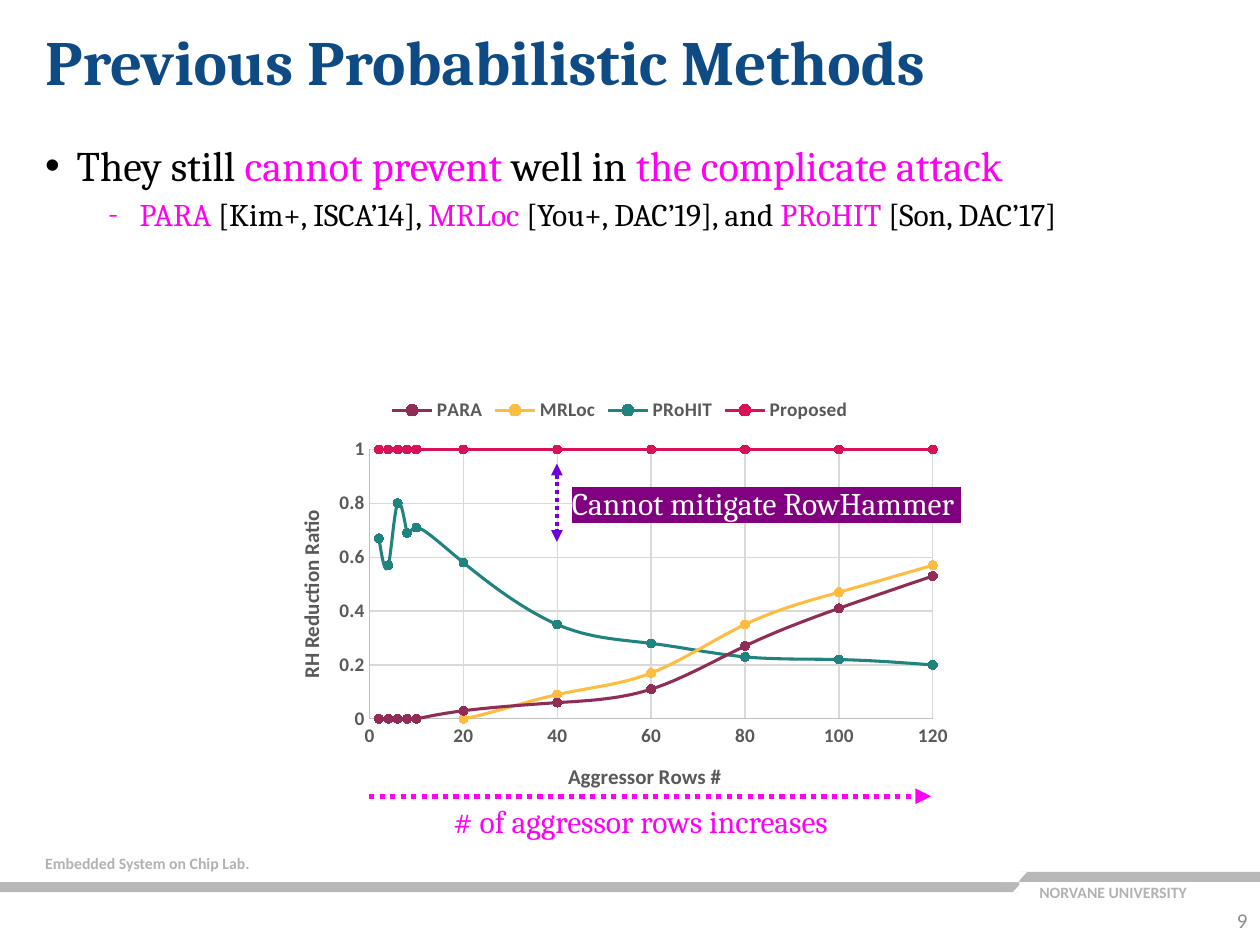
from lxml import etree
from pptx import Presentation
from pptx.chart.data import XyChartData
from pptx.dml.color import RGBColor
from pptx.enum.chart import XL_CHART_TYPE, XL_LEGEND_POSITION, XL_MARKER_STYLE, XL_TICK_MARK
from pptx.enum.dml import MSO_LINE
from pptx.enum.shapes import MSO_CONNECTOR, MSO_SHAPE
from pptx.enum.text import MSO_ANCHOR, PP_ALIGN
from pptx.oxml import parse_xml
from pptx.oxml.ns import nsdecls, qn
from pptx.util import Inches, Pt

RECT, SLANT = MSO_SHAPE.RECTANGLE, MSO_SHAPE.PARALLELOGRAM
BLACK, MAGENTA, GREY, WHITE = "000000", "FF00F5", "B8B8B8", "FFFFFF"
FOOTER, AXIS_TEXT = "B2B2B2", "595959"


def rgb(value):
    return RGBColor.from_string(value)


def add_text(place, paragraphs, size=18, font="Cambria", bold=False, align=None,
             anchor=MSO_ANCHOR.TOP, line_spacing=None, highlight=None):
    """Each paragraph is a list of (text, colour) spans; returns the text frame."""
    frame = page.shapes.add_textbox(*map(Inches, place)).text_frame
    frame.word_wrap = True
    frame.vertical_anchor = anchor
    for index, spans in enumerate(paragraphs):
        para = frame.paragraphs[0] if index == 0 else frame.add_paragraph()
        para.alignment = align
        para.line_spacing = line_spacing
        for text, colour in spans:
            span = para.add_run()
            span.text = text
            span.font.size, span.font.bold = Pt(size), bold
            span.font.color.rgb = rgb(colour)
            if highlight:
                mark = parse_xml(f'<a:highlight {nsdecls("a")}><a:srgbClr val="{highlight}"/></a:highlight>')
                span.font.fill._xPr.find(qn("a:solidFill")).addnext(mark)
            span.font.name = font
    return frame


deck = Presentation()
deck.slide_width, deck.slide_height = Inches(10), Inches(7.5)
page = deck.slides.add_slide(deck.slide_layouts[6])

# Footer band and labels
add_text((8.15, 6.96, 1.6, 0.25), [[("NORVANE UNIVERSITY", FOOTER)]], size=9, font="Calibri", bold=True)
for kind, left, top, width, colour in [
    (RECT, 0, 7, 8.09, GREY),
    (RECT, 8.09, 6.92, 1.91, GREY),
    (SLANT, 8.04, 7, 0.21, WHITE),
    (SLANT, 7.94, 6.92, 0.21, WHITE),
]:
    band = page.shapes.add_shape(kind, Inches(left), Inches(top), Inches(width), Inches(0.08))
    band.shadow.inherit = False
    band.fill.solid()
    band.fill.fore_color.rgb = rgb(colour)
    band.line.fill.background()
    if kind == SLANT:
        band.adjustments[0] = 0.9
add_text((0.26, 6.73, 1.91, 0.25), [[("Embedded System on Chip Lab.", FOOTER)]],
         size=9, font="Calibri", bold=True)

# Title and bullets
add_text((0.26, 0.2, 9.42, 0.71), [[("Previous Probabilistic Methods", "0E4A84")]],
         size=36, bold=True, line_spacing=0.9)
bullets = add_text((0.26, 1.1, 9.42, 1.69), [
    [("They still ", BLACK), ("cannot prevent ", MAGENTA), ("well in ", BLACK),
     ("the complicate attack", MAGENTA)],
    [("PARA ", MAGENTA), ("[Kim+, ISCA’14], ", BLACK), ("MRLoc ", MAGENTA),
     ("[You+, DAC’19], and ", BLACK), ("PRoHIT ", MAGENTA), ("[Son, DAC’17]", BLACK)],
], line_spacing=0.9)
for para, level, sign, face, size, indent, before in zip(
        bullets.paragraphs, (0, 1), "•-", ("Arial", "Cambria"), (24, 18), (0.25, 0.75), (10, 5)):
    para.level = level
    para.space_before = Pt(before)
    for span in para.runs:
        span.font.size = Pt(size)
    properties = para._p.get_or_add_pPr()
    properties.set("marL", str(Inches(indent)))
    properties.set("indent", str(Inches(-0.25)))
    etree.SubElement(properties, qn("a:buFont")).set("typeface", face)
    etree.SubElement(properties, qn("a:buChar")).set("char", sign)

# Chart
rows = [2, 4, 6, 8, 10, 20, 40, 60, 80, 100, 120]
methods = [
    ("PARA", "8F2D56", [0, 0, 0, 0, 0, 0.03, 0.06, 0.11, 0.27, 0.41, 0.53]),
    ("MRLoc", "FFBC42", [0, 0, 0, 0, 0, 0, 0.09, 0.17, 0.35, 0.47, 0.57]),
    ("PRoHIT", "218380", [0.67, 0.57, 0.8, 0.69, 0.71, 0.58, 0.35, 0.28, 0.23, 0.22, 0.2]),
    ("Proposed", "D81159", [1] * len(rows)),
]
data = XyChartData()
for name, colour, ratios in methods:
    series = data.add_series(name)
    for row, ratio in zip(rows, ratios):
        series.add_data_point(row, ratio)
chart = page.shapes.add_chart(XL_CHART_TYPE.XY_SCATTER_SMOOTH, Inches(2.16), Inches(3.05),
                              Inches(5.52), Inches(3.45), data).chart
chart.has_title = False
chart.font.name, chart.font.size = "Calibri", Pt(10)
chart.has_legend = True
chart.legend.position = XL_LEGEND_POSITION.TOP
chart.legend.include_in_layout = False
chart.plots[0].vary_by_categories = False
for series, (name, colour, ratios) in zip(chart.plots[0].series, methods):
    # Scatter series have no public smooth property
    series._element.get_or_add_smooth().set("val", "1")
    series.format.line.color.rgb = rgb(colour)
    series.format.line.width = Pt(1.75)
    series.marker.style, series.marker.size = XL_MARKER_STYLE.CIRCLE, 5
    series.marker.format.fill.solid()
    series.marker.format.fill.fore_color.rgb = rgb(colour)
    series.marker.format.line.color.rgb = rgb(colour)

# Axes: title, range, step, title position within the chart
fonts = [chart.legend.font]
layouts = []
for axis, title, highest, step, x, y in [
    (chart.category_axis, "Aggressor Rows #", 120, 20, 0.42, 0.86),
    (chart.value_axis, "RH Reduction Ratio", 1, 0.2, 0.03, 0.28),
]:
    axis.minimum_scale, axis.maximum_scale, axis.major_unit = 0, highest, step
    axis.major_tick_mark = axis.minor_tick_mark = XL_TICK_MARK.NONE
    axis.has_major_gridlines = True
    for line, colour in [(axis.format.line, "BFBFBF"), (axis.major_gridlines.format.line, "D9D9D9")]:
        line.color.rgb, line.width = rgb(colour), Pt(0.75)
    axis.tick_labels.number_format = "General"
    axis.tick_labels.number_format_is_linked = False
    para = axis.axis_title.text_frame.paragraphs[0]
    para.text = title
    fonts += [axis.tick_labels.font, para.runs[0].font]
    layouts.append((axis.axis_title._element, "c:tx", "", {"x": x, "y": y}))
for font in fonts:
    font.name, font.size, font.bold = "Calibri", Pt(11), True
    font.color.rgb = rgb(AXIS_TEXT)
for axis in (chart.category_axis, chart.value_axis):
    axis.axis_title.text_frame.paragraphs[0].runs[0].font.size = Pt(12)

# Fixed places for the plot area and axis titles
plot_area = chart._chartSpace.chart.plotArea
layouts.append((plot_area, None, '<c:layoutTarget val="inner"/>',
                {"x": 0.14, "y": 0.15, "w": 0.81, "h": 0.62}))
for parent, before, target, sizes in layouts:
    for old in parent.findall(qn("c:layout")):
        parent.remove(old)
    modes = "".join(f'<c:{key}Mode val="edge"/>' for key in "xy")
    values = "".join(f'<c:{key} val="{value}"/>' for key, value in sizes.items())
    layout = parse_xml(f'<c:layout {nsdecls("c")}><c:manualLayout>{target}{modes}{values}'
                       '</c:manualLayout></c:layout>')
    if before:
        parent.find(qn(before)).addnext(layout)
    else:
        parent.insert(0, layout)

# Arrows and their captions
add_text((3.5, 6.32, 3.4, 0.4), [[("# of aggressor rows increases", MAGENTA)]])
for start, end, colour, width, heads in [
    ((2.93, 6.32), (7.39, 6.32), MAGENTA, 3, ["a:tailEnd"]),
    ((4.42, 3.68), (4.42, 4.3), "7200DA", 2.25, ["a:headEnd", "a:tailEnd"]),
]:
    arrow = page.shapes.add_connector(MSO_CONNECTOR.STRAIGHT, *map(Inches, start + end))
    arrow.line.color.rgb, arrow.line.width = rgb(colour), Pt(width)
    arrow.line.dash_style = MSO_LINE.ROUND_DOT
    for head in heads:
        etree.SubElement(arrow.line._get_or_add_ln(), qn(head)).set("type", "triangle")
    etree.SubElement(arrow._element.spPr, qn("a:effectLst"))
add_text((4.44, 3.79, 3.4, 0.4), [[("Cannot mitigate RowHammer ", WHITE)]], highlight="800080")

# Page number
add_text((9.54, 7.1, 0.46, 0.4), [[("9", "8C8C8C")]], size=12, font="Calibri",
         align=PP_ALIGN.RIGHT, anchor=MSO_ANCHOR.MIDDLE)

deck.save("out.pptx")
